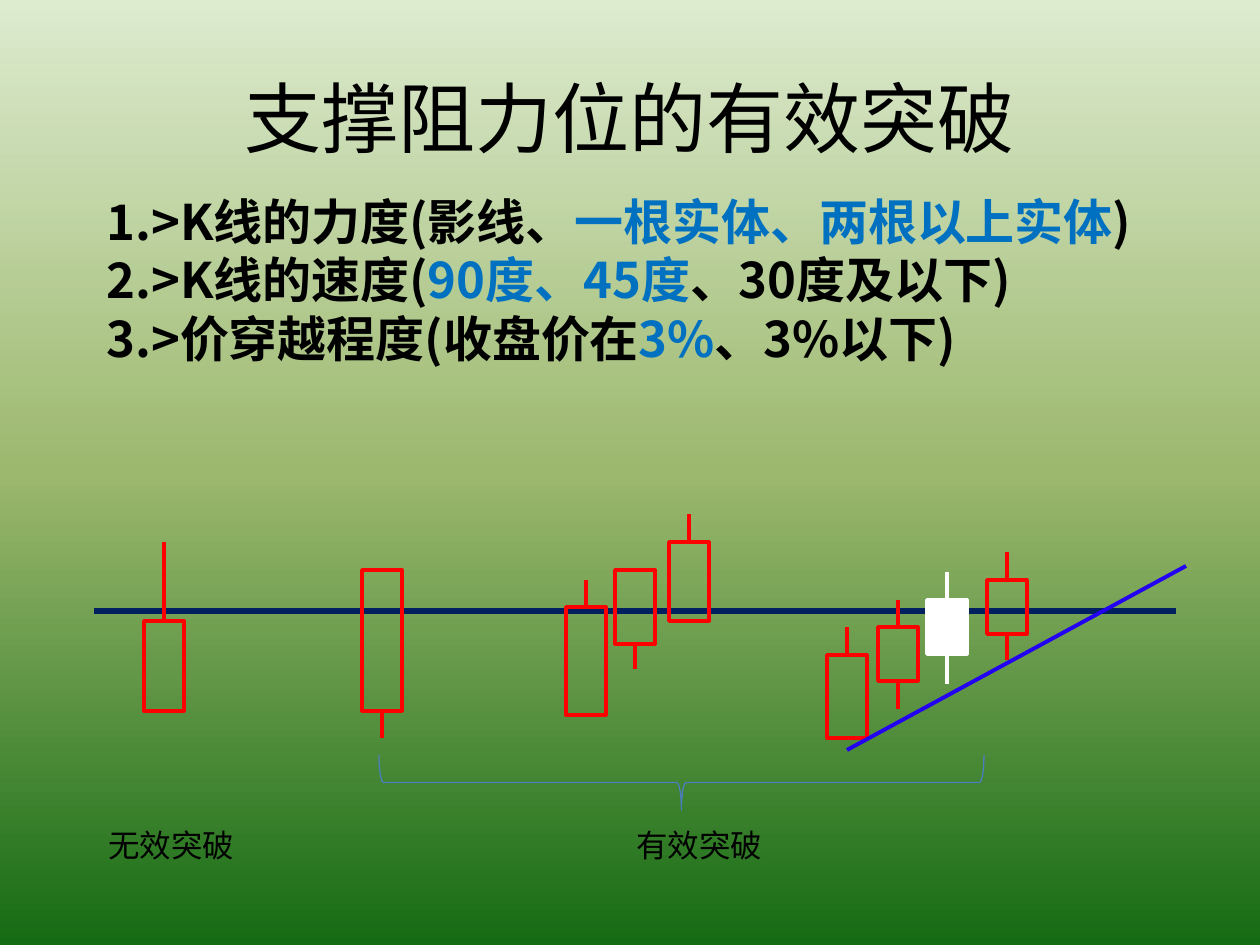
from copy import deepcopy
from lxml.etree import SubElement
from pptx import Presentation
from pptx.dml.color import RGBColor
from pptx.enum.shapes import MSO_CONNECTOR, MSO_SHAPE
from pptx.enum.text import MSO_ANCHOR, PP_ALIGN
from pptx.oxml.ns import qn
from pptx.util import Pt

FONT = "Noto Sans CJK SC"
BLACK, BLUE, RED, WHITE = "000000", "0070C0", "FF0000", "FFFFFF"
BACKGROUND = [(0, "DDEBCF"), (0.5, "9CB86E"), (1, "156B13")]
TITLE = "支撑阻力位的有效突破"
RULES = [
    [("1.>K线的力度(影线、", BLACK), ("一根实体、两根以上实体", BLUE), (")", BLACK)],
    [("2.>K线的速度(", BLACK), ("90度、45度", BLUE), ("、30度及以下)", BLACK)],
    [("3.>价穿越程度(收盘价在", BLACK), ("3%", BLUE), ("、3%以下)", BLACK)],
]
LABELS = [("无效突破", 96), ("有效突破", 624)]
CANDLE_W = 40
CANDLES = [  # left, top, height, high, low, colour, fill
    (144, 621, 90, 542, None, RED, None),
    (362, 570, 141, None, 738, RED, None),
    (566, 607, 108, 580, None, RED, None),
    (615, 570, 74, None, 669, RED, None),
    (669, 542, 79, 514, None, RED, None),
    (827, 655, 83, 627, None, RED, None),
    (878, 627, 54, 600, 709, RED, None),
    (927, 600, 54, 572, 684, WHITE, WHITE),
    (987, 580, 54, 552, 660, RED, None),
]


def px(n):
    return round(n * 914400 / 126)


def rgb(color):
    return RGBColor.from_string(color)


def add_text(s, box, paragraphs, size, bold=False, align=PP_ALIGN.LEFT,
             anchor=MSO_ANCHOR.TOP, wrap=True):
    tf = s.shapes.add_textbox(*map(px, box)).text_frame
    tf.word_wrap, tf.vertical_anchor = wrap, anchor
    for i, runs in enumerate(paragraphs):
        p = tf.add_paragraph() if i else tf.paragraphs[0]
        p.alignment = align
        for text, color in runs:
            r = p.add_run()
            r.text = text
            r.font.size, r.font.bold, r.font.name = Pt(size), bold, FONT
            r.font.color.rgb = rgb(color)
            SubElement(r.font._element, qn("a:ea"), typeface=FONT)


def add_shape(s, kind, box, color, width, fill=None):
    sp = s.shapes.add_shape(kind, *map(px, box))
    sp.shadow.inherit = False
    sp.line.color.rgb, sp.line.width = rgb(color), Pt(width)
    if fill:
        sp.fill.solid()
        sp.fill.fore_color.rgb = rgb(fill)
    else:
        sp.fill.background()
    return sp


def add_line(s, ends, color, width):
    line = s.shapes.add_connector(MSO_CONNECTOR.STRAIGHT, *map(px, ends))
    line.line.color.rgb, line.line.width = rgb(color), Pt(width)
    SubElement(line._element.spPr, qn("a:effectLst"))
    return line


def add_candle(s, left, top, height, high, low, color, fill):
    body = add_shape(s, MSO_SHAPE.RECTANGLE, (left, top, CANDLE_W, height), color, 2, fill)
    mid = left + CANDLE_W / 2
    for tip, edge, site in ((high, top, 0), (low, top + height, 2)):
        if tip is not None:
            add_line(s, (mid, tip, mid, edge), color, 2).end_connect(body, site)


def set_background(s):
    fill = s.background.fill
    fill.gradient()
    fill.gradient_angle = 270
    stops = s.element.find(".//" + qn("a:gsLst"))
    stops.append(deepcopy(stops[-1]))
    for stop, (position, color) in zip(fill.gradient_stops, BACKGROUND):
        stop.position, stop.color.rgb = position, rgb(color)


def main():
    """Build the slide on valid and invalid breakouts of support and resistance."""
    prs = Presentation()
    prs.slide_width, prs.slide_height = px(1260), px(945)
    s = prs.slides.add_slide(prs.slide_layouts[6])
    set_background(s)
    add_text(s, (63, 38, 1134, 158), [[(TITLE, BLACK)]], 44,
             align=PP_ALIGN.CENTER, anchor=MSO_ANCHOR.MIDDLE)
    add_text(s, (94, 185, 1102, 190), RULES, 28, bold=True)
    add_line(s, (94, 611, 1176, 611), "002060", 3)
    for candle in CANDLES:
        add_candle(s, *candle)
    add_line(s, (847, 750, 1186, 566), "2301F1", 2.25)
    for text, left in LABELS:
        add_text(s, (left, 820, 152, 50), [[(text, BLACK)]], 18, wrap=False)
    brace = add_shape(s, MSO_SHAPE.LEFT_BRACE, (654, 480, 55, 605), "4B7EBC", 0.75)
    brace.rotation = 270
    prs.save("out.pptx")


if __name__ == "__main__":
    main()
